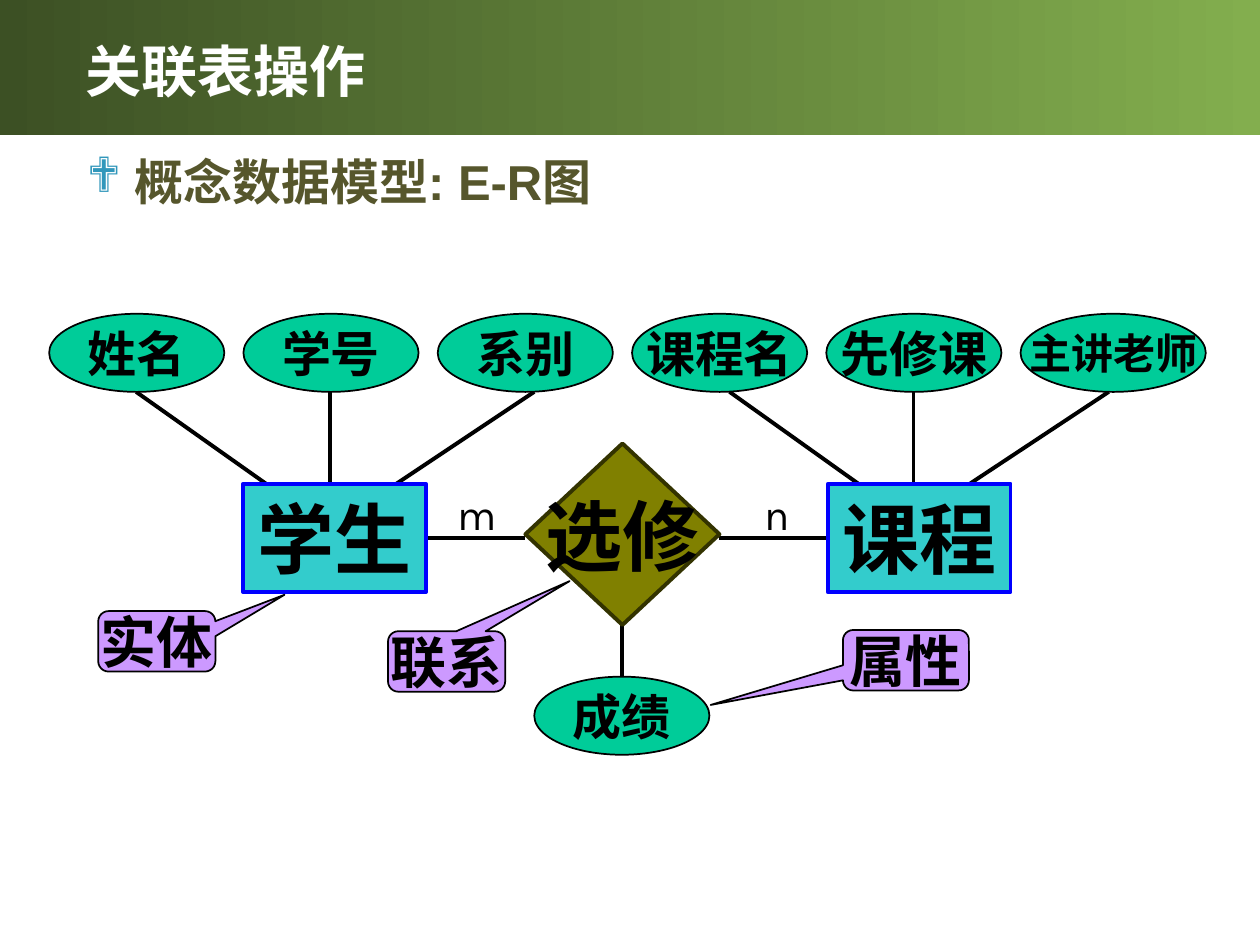
"""Builds a slide with an entity-relationship diagram of students and courses."""
import pptx
import pptx.dml.color
import pptx.enum.shapes
import pptx.enum.text
import pptx.oxml
import pptx.oxml.ns
import pptx.util

COLORS = {
    "band_start": "3C5024", "band_end": "83AE4E", "white": "FFFFFF",
    "heading": "56562C", "bullet": "3197BB", "black": "000000",
    "attribute": "00CC99", "entity": "33CCCC", "entity_edge": "0000FF",
    "relation": "808000", "relation_edge": "333300", "callout": "CC99FF",
}
COLUMNS, ROWS = 100, 75
SHAPE = pptx.enum.shapes.MSO_SHAPE
ALIGN = pptx.enum.text.PP_ALIGN
ANCHOR = pptx.enum.text.MSO_ANCHOR


def rgb(name):
    """Return the named colour."""
    return pptx.dml.color.RGBColor.from_string(COLORS[name])


class Diagram:
    """Holds the style and the slide; places elements on a grid."""

    def __init__(self, deck):
        """Add a title-only slide."""
        self.width, self.height = deck.slide_width, deck.slide_height
        self.slide = deck.slides.add_slide(deck.slide_layouts[5])
        self.shapes = self.slide.shapes

    def place(self, *lengths):
        """Turn alternating columns and rows into lengths."""
        units = (self.width / COLUMNS, self.height / ROWS)
        return [round(n * units[i % 2]) for i, n in enumerate(lengths)]

    def caption(self, frame, text, size, font, color="black", bold=True,
                align=ALIGN.LEFT, wrap=True, anchor=ANCHOR.MIDDLE):
        """Fill a text frame and format its runs."""
        frame.text = text
        frame.word_wrap = wrap
        frame.auto_size = pptx.enum.text.MSO_AUTO_SIZE.NONE
        frame.vertical_anchor = anchor
        paragraph = frame.paragraphs[0]
        paragraph.alignment = align
        for run in paragraph.runs:
            run.font.size = pptx.util.Pt(size)
            run.font.name = font
            run.font.bold = bold
            run.font.color.rgb = rgb(color)
        return paragraph

    def title(self, text, box):
        """Move and format the title placeholder."""
        heading = self.shapes.title
        heading.left, heading.top, heading.width, heading.height = self.place(*box)
        self.caption(heading.text_frame, text, 32, "Arial", "white")

    def band(self, height):
        """Draw the gradient band behind the title."""
        band = self.shapes.add_shape(SHAPE.RECTANGLE, *self.place(0, 0, COLUMNS, height))
        band.shadow.inherit = False
        band.line.fill.background()
        band.fill.gradient()
        band.fill.gradient_angle = 0
        for stop, color in zip(band.fill.gradient_stops, ("band_start", "band_end")):
            stop.color.rgb = rgb(color)
        self.shapes.title.element.addprevious(band.element)

    def label(self, text, box, size, font, **style):
        """Add a text box and return its paragraph."""
        frame = self.shapes.add_textbox(*self.place(*box)).text_frame
        return self.caption(frame, text, size, font, anchor=ANCHOR.TOP, **style)

    def bullet(self, text, box):
        """Add a bulleted heading."""
        properties = self.label(text, box, 28, "Arial", color="heading")._p.get_or_add_pPr()
        indent = pptx.util.Inches(0.38)
        properties.set("marL", str(indent))
        properties.set("indent", str(-indent))
        namespace = pptx.oxml.ns.nsdecls("a")
        for xml in (f'<a:buClr {namespace}><a:srgbClr val="{COLORS["bullet"]}"/></a:buClr>',
                    f'<a:buFont {namespace} typeface="Wingdings"/>',
                    f'<a:buChar {namespace} char="❖"/>'):
            properties.append(pptx.oxml.parse_xml(xml))

    def node(self, kind, text, box, fill, size, edge="black", weight=1, adjust=()):
        """Add a filled shape with a centred caption."""
        node = self.shapes.add_shape(kind, *self.place(*box))
        node.shadow.inherit = False
        for i, value in enumerate(adjust):
            node.adjustments[i] = value
        node.fill.solid()
        node.fill.fore_color.rgb = rgb(fill)
        node.line.color.rgb = rgb(edge)
        node.line.width = pptx.util.Pt(weight)
        self.caption(node.text_frame, text, size, "Times New Roman",
                     align=ALIGN.CENTER, wrap=False)

    def link(self, *ends):
        """Join two points with a straight line."""
        link = self.shapes.add_connector(
            pptx.enum.shapes.MSO_CONNECTOR.STRAIGHT, *self.place(*ends))
        link.line.color.rgb = rgb("black")
        link.line.width = pptx.util.Pt(2.25)
        link._element.spPr.append(
            pptx.oxml.parse_xml(f'<a:effectLst {pptx.oxml.ns.nsdecls("a")}/>'))


deck = pptx.Presentation()
deck.slide_width, deck.slide_height = pptx.util.Inches(10), pptx.util.Inches(7.5)
diagram = Diagram(deck)
diagram.band(10.7)
diagram.title("关联表操作", (5.8, 2.5, 72.5, 6.2))
diagram.bullet("概念数据模型: E-R图", (5.9, 11.5, 89.8, 8))

attribute_top, attribute_width, attribute_height = 24.9, 13.9, 6.2
attribute_bottom = attribute_top + attribute_height
entity_top, axis = 38.4, 42.7

for x1, x2 in ((33.2, 41.7), (57.1, 66.4)):
    diagram.link(x1, axis, x2, axis)
for start, end in ((10.8, 22.4), (26.2, 26.2), (42.4, 30.1),
                   (57.9, 69.4), (72.5, 72.5), (88, 75.6)):
    diagram.link(start, attribute_bottom, end, 39.3)
diagram.link(49.4, 49.6, 49.4, 53.7)

for i, name in enumerate(("姓名", "学号", "系别", "课程名", "先修课", "主讲老师")):
    is_long = len(name) > 3
    diagram.node(SHAPE.OVAL, name,
                 (3.9 + 15.42 * i, attribute_top,
                  14.7 if is_long else attribute_width, attribute_height),
                 "attribute", 24 if is_long else 28)
diagram.node(SHAPE.OVAL, "成绩", (42.4, 53.7, attribute_width, attribute_height),
             "attribute", 28)

diagram.node(SHAPE.DIAMOND, "选修", (41.7, 35.2, 15.4, 14.4), "relation", 44,
             "relation_edge", 2.25)
for name, left in (("学生", 19.3), ("课程", 65.7)):
    diagram.node(SHAPE.RECTANGLE, name, (left, entity_top, 14.5, 8.6), "entity", 44,
                 "entity_edge", 2.25)
for name, left in (("m", 35.3), ("n", 59.7)):
    diagram.label(name, (left, 38.3, 5, 5), 24, "Karla", bold=False)
for name, left, top, width, tail in (("实体", 7.8, 48.5, 9.3, (1.09, -0.77)),
                                     ("联系", 30.8, 50.1, 9.3, (1.05, -1.33)),
                                     ("属性", 66.9, 50, 10, (-1.55, 0.74))):
    diagram.node(SHAPE.ROUNDED_RECTANGULAR_CALLOUT, name, (left, top, width, 4.8),
                 "callout", 32, adjust=(*tail, 0.17))

deck.save("out.pptx")
